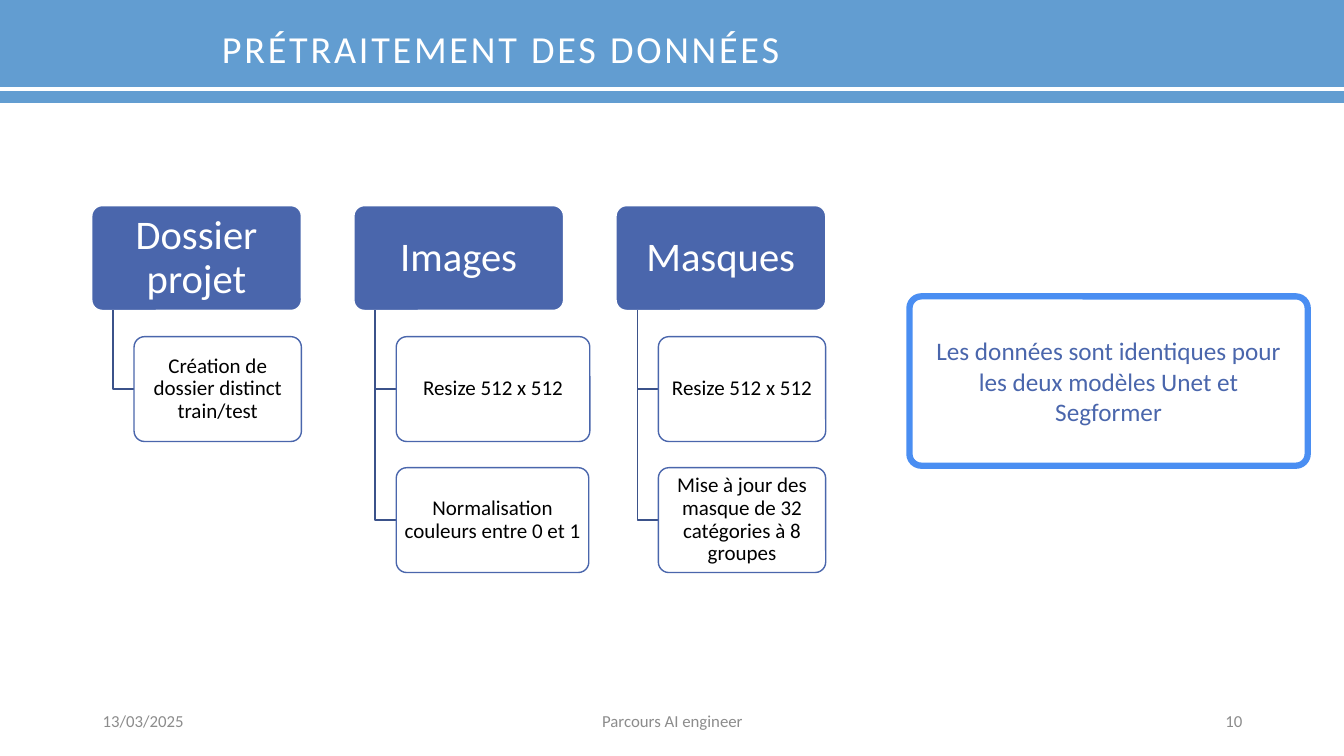
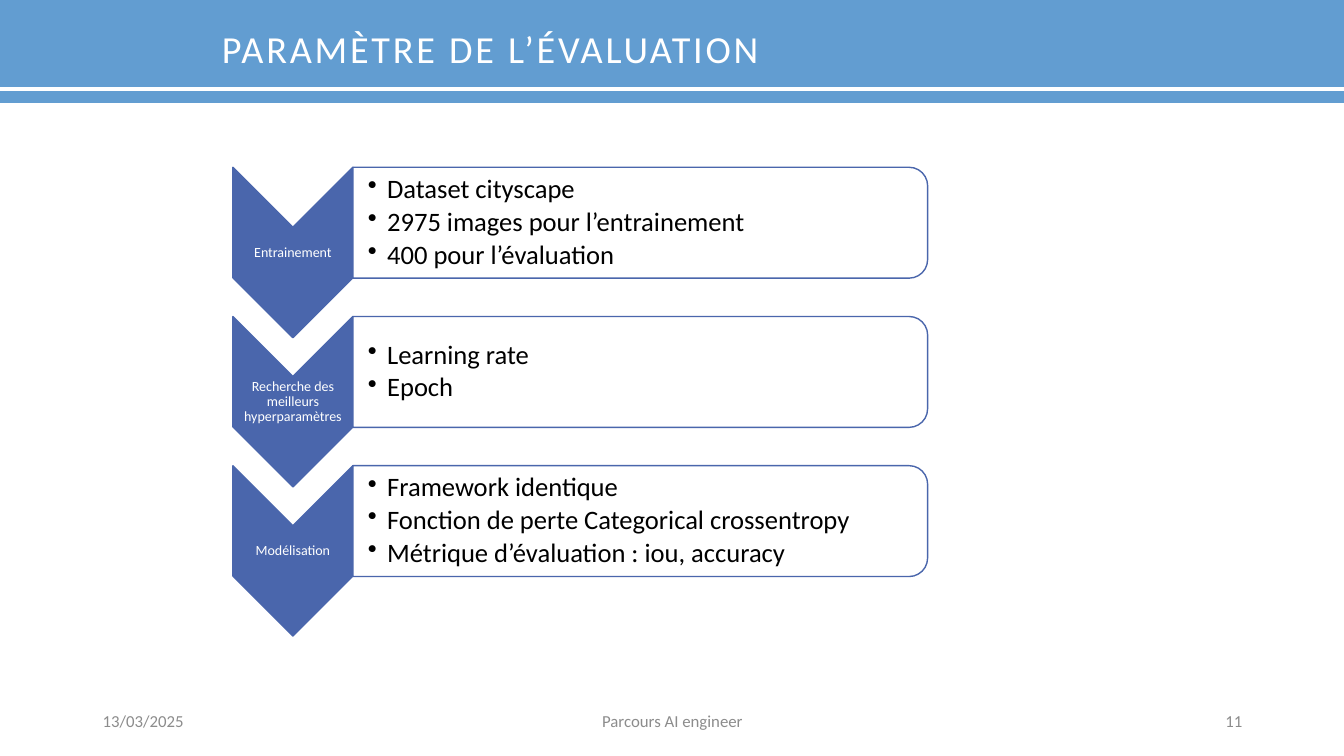
from lxml.etree import SubElement
from pptx import Presentation
from pptx.dml.color import RGBColor
from pptx.enum.shapes import MSO_CONNECTOR, MSO_SHAPE
from pptx.enum.text import MSO_ANCHOR, PP_ALIGN
from pptx.oxml.ns import qn
from pptx.util import Inches, Pt

COLORS = {
    "band": "629DD1",
    "primary": "4A66AC",
    "branch": "3B528A",
    "callout": "4A8EF2",
    "footer": "8C8C8C",
    "white": "FFFFFF",
    "black": "000000",
}
FONT = "Calibri"
SLIDE_WIDTH, SLIDE_HEIGHT = 13.33, 7.5
DATE, COURSE = "13/03/2025", "Parcours AI engineer"
FOOTER_TOP, FOOTER_HEIGHT = 6.95, 0.4

TREE_LEFT, TREE_TOP = 0.91, 2.04
COLUMN_PITCH, ROW_PITCH = 2.6, 1.3
NODE_WIDTH, NODE_HEIGHT = 2.08, 1.04
BRANCH_INDENT = 0.21
COLUMNS = [
    ("Dossier projet", [("Création de dossier distinct train/test", 1.66)]),
    ("Images", [("Resize 512 x 512", 1.92),
                ("Normalisation couleurs entre 0 et 1", 1.91)]),
    ("Masques", [("Resize 512 x 512", 1.66),
                 ("Mise à jour des masque de 32 catégories à 8 groupes", 1.66)]),
]

STEP_LEFT, STEP_TOP, STEP_PITCH = 2.31, 1.66, 1.48
CHEVRON_WIDTH, CHEVRON_HEIGHT = 1.19, 1.69
PANEL_WIDTH, PANEL_HEIGHT = 5.7, 1.1
STEPS = [
    ("Entrainement", ["Dataset cityscape", "2975 images pour l’entrainement",
                      "400 pour l’évaluation"]),
    ("Recherche des meilleurs hyperparamètres", ["Learning rate", "Epoch"]),
    ("Modélisation", ["Framework identique",
                      "Fonction de perte Categorical crossentropy",
                      "Métrique d’évaluation : iou, accuracy"]),
]


def color(name):
    return RGBColor.from_string(COLORS[name])


def add_bullet(para):
    properties = para._p.get_or_add_pPr()
    properties.set("marL", str(Inches(0.19)))
    properties.set("indent", str(Inches(-0.19)))
    SubElement(properties, qn("a:buChar")).set("char", "•")


def write(box, lines, size, ink, align=PP_ALIGN.CENTER, margins=(0.1, 0.05),
          spacing=0.9, tracking=0, bullets=False):
    frame = box.text_frame
    frame.word_wrap = True
    frame.vertical_anchor = MSO_ANCHOR.MIDDLE
    frame.margin_left = frame.margin_right = Inches(margins[0])
    frame.margin_top = frame.margin_bottom = Inches(margins[1])
    for index, line in enumerate(lines):
        para = frame.add_paragraph() if index else frame.paragraphs[0]
        if bullets:
            add_bullet(para)
            para.space_after = Pt(2.85)
        para.alignment = align
        para.line_spacing = spacing
        span = para.add_run()
        span.text = line
        span.font.name = FONT
        span.font.size = Pt(size)
        span.font.color.rgb = color(ink)
        if tracking:
            span._r.get_or_add_rPr().set("spc", str(tracking * 100))


def add_label(page, left, top, width, height, lines, size, ink, **style):
    box = page.shapes.add_textbox(Inches(left), Inches(top), Inches(width), Inches(height))
    write(box, lines, size, ink, **style)
    return box


def add_block(page, kind, left, top, width, height, fill, line=None, weight=1):
    block = page.shapes.add_shape(kind, Inches(left), Inches(top), Inches(width), Inches(height))
    block.shadow.inherit = False
    block.fill.solid()
    block.fill.fore_color.rgb = color(fill)
    if line:
        block.line.color.rgb = color(line)
        block.line.width = Pt(weight)
    else:
        block.line.fill.background()
    return block


def add_rounded(page, left, top, width, height, fill, line, weight=1, radius=0.1):
    block = add_block(page, MSO_SHAPE.ROUNDED_RECTANGLE, left, top, width, height,
                      fill, line, weight)
    block.adjustments[0] = radius
    return block


def add_turned(page, kind, left, top, width, height, fill):
    shift = (width - height) / 2
    block = add_block(page, kind, left + shift, top - shift, height, width, fill, "primary")
    block.rotation = 90
    return block


def add_branch(page, left, top, right, bottom):
    builder = page.shapes.build_freeform(Inches(left), Inches(top))
    builder.add_line_segments([(Inches(left), Inches(bottom)),
                               (Inches(right), Inches(bottom))], close=False)
    branch = builder.convert_to_shape()
    branch.shadow.inherit = False
    branch.fill.background()
    branch.line.color.rgb = color("branch")
    branch.line.width = Pt(1)


def add_page(deck, title, number):
    page = deck.slides.add_slide(deck.slide_layouts[6])
    for left, width, text, align in [
        (0.92, 3, DATE, PP_ALIGN.LEFT),
        (4.42, 4.5, COURSE, PP_ALIGN.CENTER),
        (9.42, 3, str(number), PP_ALIGN.RIGHT),
    ]:
        add_label(page, left, FOOTER_TOP, width, FOOTER_HEIGHT, [text], 12, "footer",
                  align=align, spacing=1)
    band = add_block(page, MSO_SHAPE.RECTANGLE, 0, 0, SLIDE_WIDTH, 1.02, "band")
    write(band, [title], 27.3, "white", align=PP_ALIGN.LEFT, margins=(2.2, 0.2), tracking=2)
    rule = page.shapes.add_connector(MSO_CONNECTOR.STRAIGHT, Inches(0), Inches(0.88),
                                     Inches(SLIDE_WIDTH), Inches(0.88))
    rule.line.color.rgb = color("white")
    rule.line.width = Pt(3)
    SubElement(rule._element.spPr, qn("a:effectLst"))
    return page


def add_column(page, left, heading, children):
    header = add_rounded(page, left, TREE_TOP, NODE_WIDTH, NODE_HEIGHT, "primary", "white")
    write(header, [heading], 29, "white", margins=(0.06, 0.04))
    spine = left + BRANCH_INDENT
    child_left = spine + BRANCH_INDENT
    for row, (text, width) in enumerate(children, 1):
        top = TREE_TOP + row * ROW_PITCH
        add_branch(page, spine, TREE_TOP + NODE_HEIGHT, child_left, top + NODE_HEIGHT / 2)
        child = add_rounded(page, child_left, top, width, NODE_HEIGHT, "white", "primary")
        write(child, [text], 15, "black", margins=(0.03, 0.02))


def add_step(page, top, name, details):
    add_turned(page, MSO_SHAPE.CHEVRON, STEP_LEFT, top, CHEVRON_WIDTH, CHEVRON_HEIGHT, "primary")
    add_label(page, STEP_LEFT, top + CHEVRON_WIDTH / 2, CHEVRON_WIDTH,
              CHEVRON_HEIGHT - CHEVRON_WIDTH, [name], 10, "white", margins=(0.01, 0.01))
    panel_left = STEP_LEFT + CHEVRON_WIDTH
    add_turned(page, MSO_SHAPE.ROUND_2_SAME_RECTANGLE, panel_left, top, PANEL_WIDTH,
               PANEL_HEIGHT, "white")
    add_label(page, panel_left, top, PANEL_WIDTH, PANEL_HEIGHT, details, 19, "black",
              align=PP_ALIGN.LEFT, margins=(0.15, 0.01), bullets=True)


def main():
    deck = Presentation()
    deck.slide_width = Inches(SLIDE_WIDTH)
    deck.slide_height = Inches(SLIDE_HEIGHT)

    page = add_page(deck, "PRÉTRAITEMENT DES DONNÉES", 10)
    for index, (heading, children) in enumerate(COLUMNS):
        add_column(page, TREE_LEFT + index * COLUMN_PITCH, heading, children)
    callout = add_rounded(page, 9.02, 2.94, 3.95, 1.68, "white", "callout", 4.5, 0.07)
    write(callout, ["Les données sont identiques pour les deux modèles Unet et Segformer"],
          18, "primary", spacing=1)

    page = add_page(deck, "PARAMÈTRE DE L’ÉVALUATION", 11)
    for index, (name, details) in enumerate(STEPS):
        add_step(page, STEP_TOP + index * STEP_PITCH, name, details)

    deck.save("out.pptx")


if __name__ == "__main__":
    main()
